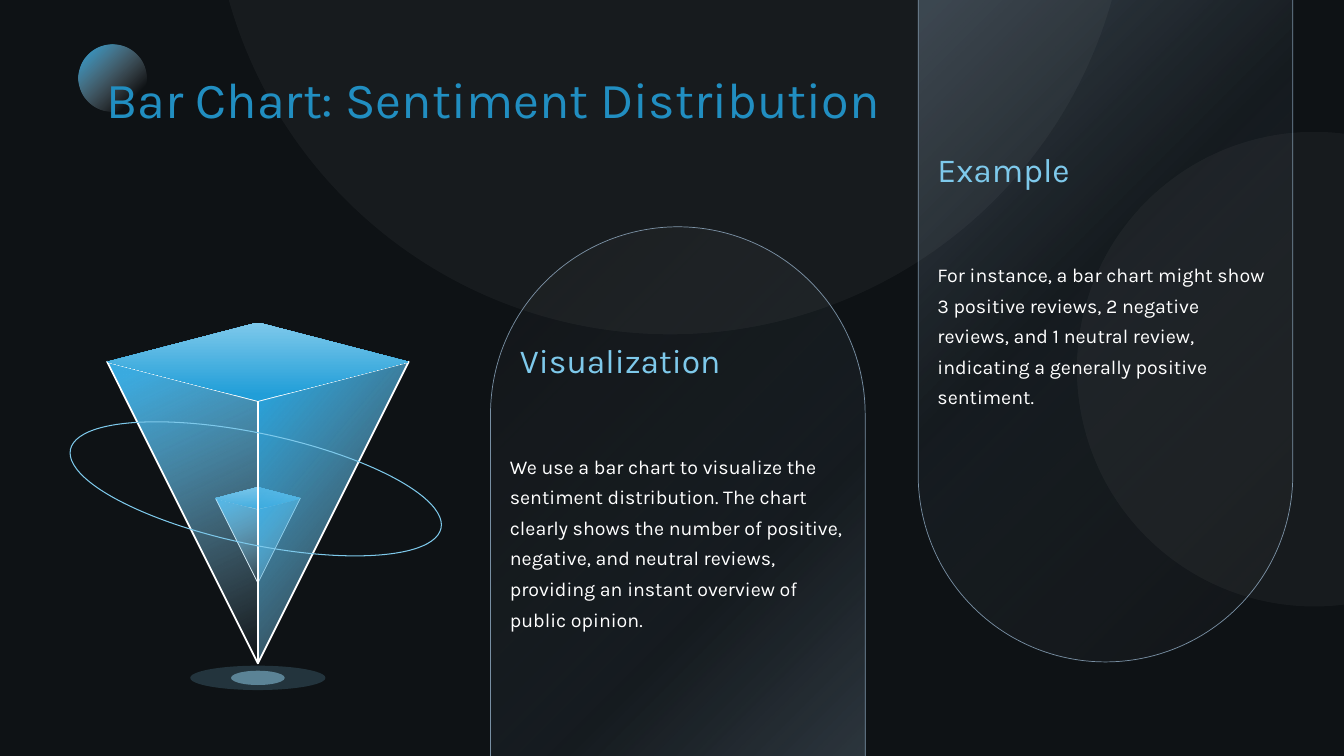
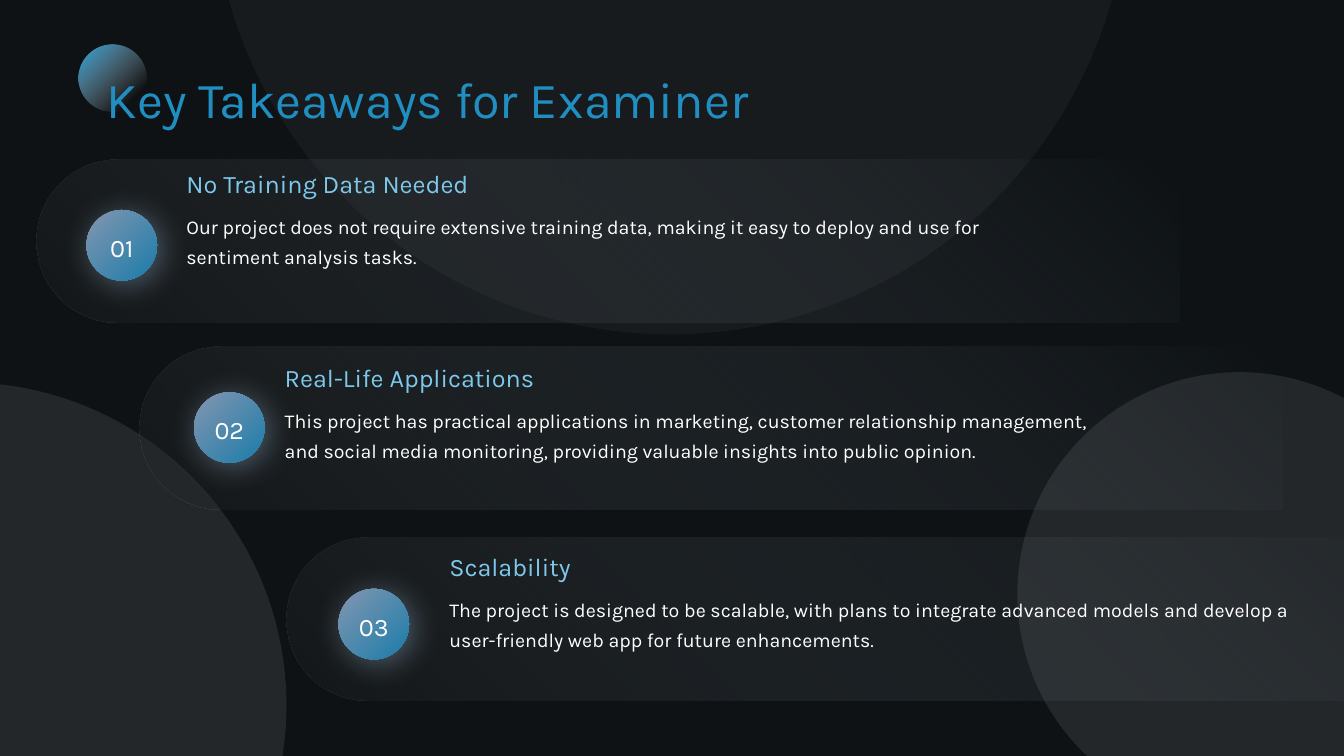
from lxml.etree import SubElement
from pptx import Presentation
from pptx.dml.color import RGBColor
from pptx.enum.shapes import MSO_SHAPE
from pptx.enum.text import PP_ALIGN
from pptx.oxml.ns import qn
from pptx.util import Inches, Pt

# Slide grid: 16 columns by 9 rows of square cells
SLIDE_W, SLIDE_H = Inches(13.333), Inches(7.5)
CELL = SLIDE_H / 9

FONT = "Karla"
NIGHT = RGBColor(0x0E, 0x12, 0x15)
WHITE = RGBColor(0xFF, 0xFF, 0xFF)
TITLE_BLUE = RGBColor(0x21, 0x8E, 0xC1)
SKY = RGBColor(0x7E, 0xC9, 0xEB)
PALE_SKY = RGBColor(0x93, 0xD2, 0xEF)
MIST = RGBColor(0xA9, 0xDA, 0xF2)
LEFT_BLUE = RGBColor(0x3C, 0xAC, 0xE1)
RIGHT_BLUE = RGBColor(0x28, 0xA4, 0xDE)
TOP_BLUE = RGBColor(0x21, 0x9E, 0xD8)
STEEL = RGBColor(0x78, 0x8F, 0xA3)
SILVER = RGBColor(0xA4, 0xB6, 0xC2)
CLOUD = RGBColor(0xC5, 0xC9, 0xCE)
SLATE = RGBColor(0x84, 0x96, 0xB0)
DEEP_BLUE = RGBColor(0x1A, 0x7C, 0xAA)
CHARCOAL = RGBColor(0x23, 0x23, 0x22)

# Gradients: (position %, colour, opacity %)
PANEL_STOPS = [(0, STEEL, 39), (21, STEEL, 36), (53, STEEL, 7), (100, CHARCOAL, 15)]
BAND_STOPS = [(0, SILVER, 0), (100, CHARCOAL, 33)]
DISC_STOPS = [(0, SLATE, 100), (100, DEEP_BLUE, 100)]
ORB_STOPS = [(0, RIGHT_BLUE, 100), (80, CLOUD, 0), (100, CLOUD, 0)]
LID_STOPS = [(0, TOP_BLUE, 100), (8, TOP_BLUE, 100), (100, SKY, 100)]


def cells(*values):
    return [round(value * CELL) for value in values]


def add_color(parent, color, opacity):
    node = SubElement(parent, qn("a:srgbClr"), val=str(color))
    SubElement(node, qn("a:alpha"), val=str(opacity * 1000))


def fill_gradient(shape, stops, angle=None):
    """Linear gradient at an angle, or a radial one from a corner without it."""
    shape.fill.background()
    properties = shape._element.spPr
    gradient = SubElement(properties, qn("a:gradFill"), rotWithShape="1")
    properties.replace(properties.find(qn("a:noFill")), gradient)
    stop_list = SubElement(gradient, qn("a:gsLst"))
    for position, color, opacity in stops:
        add_color(SubElement(stop_list, qn("a:gs"), pos=str(position * 1000)), color, opacity)
    if angle is None:
        radial = SubElement(gradient, qn("a:path"), path="circle")
        SubElement(radial, qn("a:fillToRect"), l="100000", b="100000")
    else:
        SubElement(gradient, qn("a:lin"), ang=str(angle * 60000), scaled="0")


def fill_tint(shape, color, opacity):
    shape.fill.solid()
    shape.fill.fore_color.rgb = color
    node = shape._element.spPr.find(qn("a:solidFill")).find(qn("a:srgbClr"))
    SubElement(node, qn("a:alpha"), val=str(opacity * 1000))


def outline(shape, color=None, width=0.5):
    if color is None:
        shape.line.fill.background()
    else:
        shape.line.color.rgb = color
        shape.line.width = Pt(width)


def add_plain(slide, kind, x, y, w, h):
    shape = slide.shapes.add_shape(kind, *cells(x, y, w, h))
    shape.shadow.inherit = False
    shape.fill.background()
    outline(shape)
    return shape


def add_text(slide, text, x, y, w, h, size, color, spacing=1.0, inset=0.05, align=PP_ALIGN.LEFT):
    frame = slide.shapes.add_textbox(*cells(x, y, w, h)).text_frame
    frame.word_wrap = True
    frame.margin_left = frame.margin_right = Inches(inset)
    frame.margin_top = frame.margin_bottom = Inches(inset)
    paragraph = frame.paragraphs[0]
    paragraph.text = text
    paragraph.alignment = align
    paragraph.line_spacing = spacing
    paragraph.font.name = FONT
    paragraph.font.size = Pt(size)
    paragraph.font.color.rgb = color


# Parts shared by both slides
def new_slide(deck):
    slide = deck.slides.add_slide(deck.slide_layouts[6])
    slide.background.fill.solid()
    slide.background.fill.fore_color.rgb = NIGHT
    return slide


def add_glows(slide, *glows):
    for x, y, diameter, opacity in ((2.52, -6.94, 10.92, 4), *glows):
        fill_tint(add_plain(slide, MSO_SHAPE.OVAL, x, y, diameter, diameter), WHITE, opacity)


def add_title(slide, title):
    orb = add_plain(slide, MSO_SHAPE.OVAL, 0.94, 0.53, 0.8, 0.8)
    fill_gradient(orb, ORB_STOPS, 45)
    add_text(slide, title, 1.27, 0.67, 13.81, 0.86, 36, TITLE_BLUE, 1.2, inset=0)


# Chart slide: arched panels and the pyramid figure
def add_panel(slide, x, y, rotation):
    panel = add_plain(slide, MSO_SHAPE.ROUND_2_SAME_RECTANGLE, x, y, 4.46, 10.84)
    panel.adjustments[0] = 0.5
    panel.rotation = rotation
    fill_gradient(panel, PANEL_STOPS, 225)
    outline(panel, STEEL)


def add_panel_text(slide, x, y, indent, heading, body):
    add_text(slide, heading, x + indent, y, 3.95, 1.8, 24, SKY, 1.3)
    add_text(slide, body, x + 0.17, y + 1.42, 4.12, 2.18, 14, WHITE, 1.3)


def add_pyramid(slide, center, top, width, edge):
    """Upside-down pyramid whose lid and faces scale with its width."""
    lid_h, tip = 0.26 * width, top + 1.13 * width
    for side, color, angle in ((-1, LEFT_BLUE, 65), (1, RIGHT_BLUE, 40)):
        builder = slide.shapes.build_freeform(*cells(center, top + lid_h))
        corner = cells(center + side * width / 2, top + lid_h / 2)
        builder.add_line_segments([cells(center, tip), corner])
        face = builder.convert_to_shape()
        face.shadow.inherit = False
        fill_gradient(face, [(0, color, 100), (6, color, 100), (100, MIST, 0)], angle)
        outline(face, WHITE, edge)
    lid = add_plain(slide, MSO_SHAPE.FLOWCHART_DECISION, center - width / 2, top, width, lid_h)
    fill_gradient(lid, LID_STOPS, 270)


def add_figure(slide, center, top):
    add_pyramid(slide, center, top + 1.96, 1.01, 0.5)
    add_pyramid(slide, center, top, 3.59, 1.25)
    # Orbit ring
    ring = add_plain(slide, MSO_SHAPE.OVAL, center - 2.28, top + 1.32, 4.51, 1.32)
    ring.rotation = 12
    outline(ring, SKY, 0.75)
    # Light spots under the tip
    for width, height, color, opacity in ((1.61, 0.29, SKY, 19), (0.64, 0.17, PALE_SKY, 50)):
        spot = add_plain(slide, MSO_SHAPE.OVAL, center - width / 2, top + 4.23 - height / 2,
                         width, height)
        fill_tint(spot, color, opacity)


def build_chart_slide(deck):
    slide = new_slide(deck)
    left, right = 5.84, 10.93
    add_panel(slide, left, 2.7, 0)
    add_panel(slide, right, -2.96, 180)
    add_glows(slide, (12.82, 1.57, 5.65, 4))
    add_figure(slide, 3.07, 3.84)
    add_title(slide, "Bar Chart: Sentiment Distribution")
    add_panel_text(slide, left, 3.85, 0.29, "Visualization",
                   "We use a bar chart to visualize the sentiment distribution. The chart clearly "
                   "shows the number of positive, negative, and neutral reviews, providing an "
                   "instant overview of public opinion.")
    add_panel_text(slide, right, 1.57, 0.17, "Example",
                   "For instance, a bar chart might show 3 positive reviews, 2 negative reviews, "
                   "and 1 neutral review, indicating a generally positive sentiment.")


# Takeaways slide: numbered bands
def add_disc(slide, number, x, y):
    size = 0.84
    disc = add_plain(slide, MSO_SHAPE.OVAL, x, y, size, size)
    fill_gradient(disc, DISC_STOPS, 45)
    effects = disc._element.spPr.find(qn("a:effectLst"))
    shadow = SubElement(effects, qn("a:outerShdw"), blurRad=str(Pt(22.9)), dist=str(Pt(4)),
                        dir=str(45 * 60000), algn="tl", rotWithShape="0")
    add_color(shadow, STEEL, 60)
    add_text(slide, f"{number:02}", x, y + 0.23, size, 0.38, 18, WHITE, 1.1, 0, PP_ALIGN.CENTER)


def add_takeaway(slide, number, x, y, disc_at, text_at, text_w, heading, body):
    length, height = 13.61, 1.94
    # The band is an upright shape turned on its side about its centre
    shift = (length - height) / 2
    band = add_plain(slide, MSO_SHAPE.ROUND_2_SAME_RECTANGLE, x + shift, y - shift, height, length)
    band.adjustments[0] = 0.5
    band.rotation = 270
    fill_gradient(band, BAND_STOPS)
    add_disc(slide, number, x + disc_at[0], y + disc_at[1])
    text_x, text_y = x + text_at[0], y + text_at[1]
    add_text(slide, heading, text_x, text_y, text_w, 0.36, 18, SKY)
    add_text(slide, body, text_x, text_y + 0.46, text_w, 0.73, 14, WHITE, 1.3)


def build_takeaways_slide(deck):
    slide = new_slide(deck)
    add_glows(slide, (-4.28, 4.55, 7.69, 9), (12.11, 4.43, 5.29, 9))
    takeaways = [
        (0.43, 1.9, (0.6, 0.6), (1.73, 0.05), 10.13, "No Training Data Needed",
         "Our project does not require extensive training data, making it easy to deploy and "
         "use for sentiment analysis tasks."),
        (1.66, 4.13, (0.65, 0.54), (1.67, 0.13), 10.13, "Real-Life Applications",
         "This project has practical applications in marketing, customer relationship "
         "management, and social media monitoring, providing valuable insights into public "
         "opinion."),
        (3.41, 6.4, (0.62, 0.61), (1.88, 0.11), 10.3, "Scalability",
         "The project is designed to be scalable, with plans to integrate advanced models and "
         "develop a user-friendly web app for future enhancements."),
    ]
    for number, takeaway in enumerate(takeaways, 1):
        add_takeaway(slide, number, *takeaway)
    add_title(slide, "Key Takeaways for Examiner")


def main():
    deck = Presentation()
    deck.slide_width, deck.slide_height = SLIDE_W, SLIDE_H
    build_chart_slide(deck)
    build_takeaways_slide(deck)
    deck.save("out.pptx")


if __name__ == "__main__":
    main()
